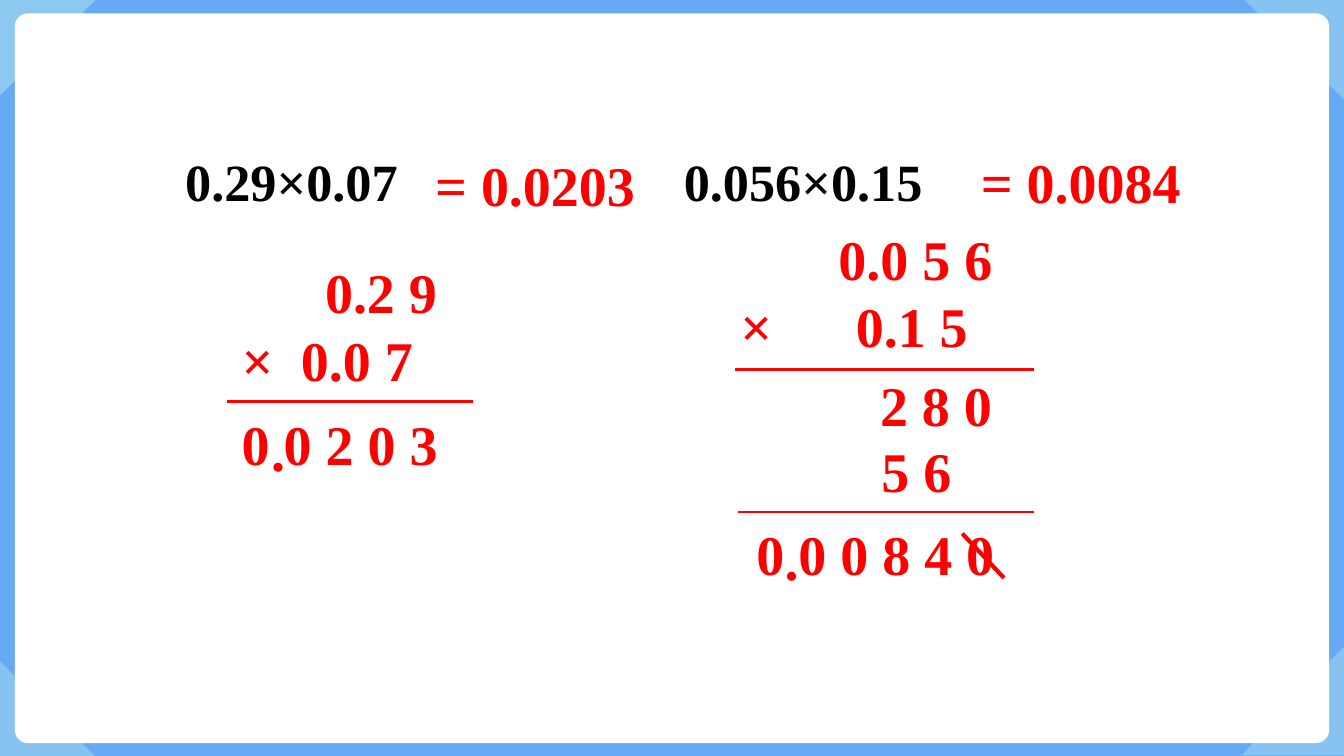
import pptx
import pptx.util
import pptx.dml.color
import pptx.enum.shapes
import pptx.oxml.ns
import lxml.etree
from dataclasses import dataclass

Inches = pptx.util.Inches
qn = pptx.oxml.ns.qn


@dataclass
class Theme:
    background: str = "66A9F5"
    corner: str = "9BD3EF"
    card: str = "FFFFFF"
    question: str = "000000"
    working: str = "FF0000"
    font: str = "Times New Roman"
    question_size: int = 28
    working_size: int = 30
    rule_width: float = 1.5
    strike_width: float = 2.25


def rgb(value):
    return pptx.dml.color.RGBColor.from_string(value)


class SlideBuilder:
    def __init__(self, slide, theme):
        self.slide = slide
        self.theme = theme
        fill = slide.background.fill
        fill.solid()
        fill.fore_color.rgb = rgb(theme.background)

    def paint(self, sp, color, opacity=100):
        sp.shadow.inherit = False
        sp.line.fill.background()
        sp.fill.solid()
        sp.fill.fore_color.rgb = rgb(color)
        if opacity < 100:
            clr = sp._element.spPr.find(qn("a:solidFill")).find(qn("a:srgbClr"))
            alpha = lxml.etree.SubElement(clr, qn("a:alpha"))
            alpha.set("val", str(opacity * 1000))

    def corner(self, points, opacity):
        start, *rest = [(Inches(x), Inches(y)) for x, y in points]
        builder = self.slide.shapes.build_freeform(*start)
        builder.add_line_segments(rest, close=True)
        self.paint(builder.convert_to_shape(), self.theme.corner, opacity)

    def card(self, left, top, width, height):
        sp = self.slide.shapes.add_shape(
            pptx.enum.shapes.MSO_SHAPE.ROUNDED_RECTANGLE,
            Inches(left), Inches(top), Inches(width), Inches(height))
        sp.adjustments[0] = 0.018
        self.paint(sp, self.theme.card)

    def text(self, text, left, top, width, height=0.61, color=None, size=None):
        sp = self.slide.shapes.add_textbox(
            Inches(left), Inches(top), Inches(width), Inches(height))
        tf = sp.text_frame
        tf.word_wrap = True
        tf.text = text
        for p in tf.paragraphs:
            for r in p.runs:
                r.font.name = self.theme.font
                r.font.size = pptx.util.Pt(size or self.theme.working_size)
                r.font.bold = True
                r.font.color.rgb = rgb(color or self.theme.working)
        return tf.paragraphs

    def indent(self, p, distance):
        pPr = p._p.get_or_add_pPr()
        pPr.set("marL", str(Inches(distance)))
        pPr.set("indent", "0")

    def tab_stop(self, p, distance):
        tabs = lxml.etree.SubElement(p._p.get_or_add_pPr(), qn("a:tabLst"))
        tab = lxml.etree.SubElement(tabs, qn("a:tab"))
        tab.set("pos", str(Inches(distance)))
        tab.set("algn", "l")

    def questions(self, first, second, left, top, width, gap):
        p, = self.text(f"{first}\t{second}", left, top, width, 0.57,
                       self.theme.question, self.theme.question_size)
        self.tab_stop(p, gap)

    def factors(self, first, second, left, top, width, first_at, second_at):
        upper, lower = self.text(f"{first}\n×\t{second}", left, top, width, 1.1)
        self.indent(upper, first_at)
        self.tab_stop(lower, second_at)

    def line(self, x1, y1, x2, y2, width):
        cn = self.slide.shapes.add_connector(
            pptx.enum.shapes.MSO_CONNECTOR.STRAIGHT,
            Inches(x1), Inches(y1), Inches(x2), Inches(y2))
        cn.line.color.rgb = rgb(self.theme.working)
        cn.line.width = pptx.util.Pt(width)
        lxml.etree.SubElement(cn._element.spPr, qn("a:effectLst"))

    def rule(self, left, right, y):
        self.line(left, y, right, y, self.theme.rule_width)


def main():
    prs = pptx.Presentation()
    prs.slide_width = Inches(10)
    prs.slide_height = prs.slide_width * 9 // 16
    theme = Theme()
    s = SlideBuilder(prs.slides.add_slide(prs.slide_layouts[6]), theme)

    s.corner([(9.26, 0), (10, 0.74), (10, 0)], 62)
    s.corner([(0, 4.92), (0, 5.63), (0.71, 5.63)], 62)
    s.corner([(0.71, 0), (0, 0.71), (0, 0)], 75)
    s.corner([(10, 4.81), (10, 5.62), (9.24, 5.62)], 62)
    s.card(0.11, 0.1, 9.78, 5.43)

    s.questions("0.29×0.07", "0.056×0.15", 1.28, 1.06, 6.58, 3.71)

    s.rule(1.69, 3.52, 2.99)
    s.factors("0.2 9", "0.0 7", 1.7, 1.87, 1.99, 0.62, 0.44)
    s.text("= 0.0203", 3.14, 1.07, 1.76)

    s.rule(5.47, 7.69, 2.75)
    s.factors("0.0 5 6", "0.1 5", 5.41, 1.62, 2.17, 0.73, 0.86)
    s.text("2 8 0", 6.45, 2.71, 1.24)
    s.text("5 6", 6.46, 3.2, 0.79)
    s.rule(5.49, 7.69, 3.81)
    s.text("0 0 0 8 4 0", 5.53, 3.82, 2.17)
    s.text("= 0.0084", 7.2, 1.05, 1.85)

    s.text("0 0 2 0 3", 1.7, 3, 1.82)
    s.line(7.16, 3.97, 7.47, 4.3, theme.strike_width)
    s.text(".", 1.92, 3.04, 0.37)
    s.text(".", 5.74, 3.85, 0.37)

    prs.save("out.pptx")


if __name__ == "__main__":
    main()
